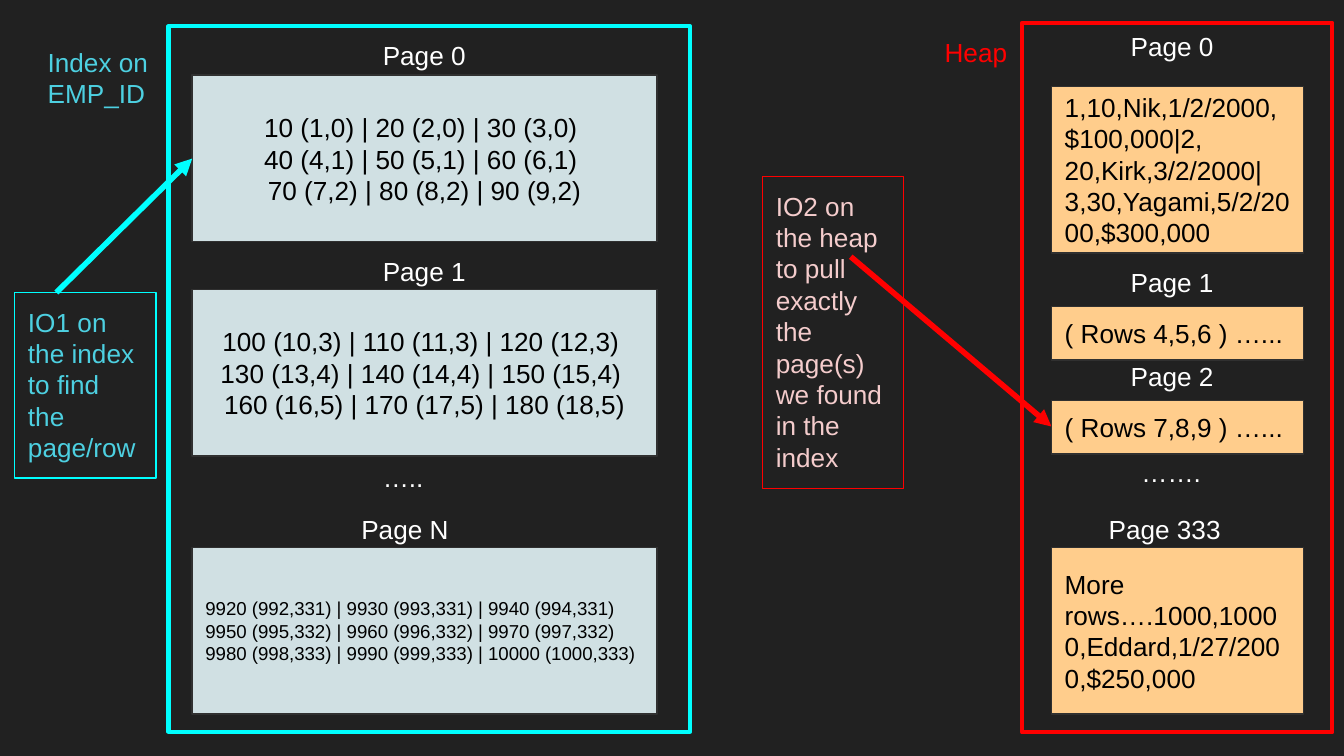
from lxml.etree import SubElement
from pptx import Presentation
from pptx.dml.color import RGBColor
from pptx.enum.shapes import MSO_CONNECTOR, MSO_SHAPE
from pptx.enum.text import MSO_ANCHOR, MSO_AUTO_SIZE, PP_ALIGN
from pptx.oxml.ns import qn
from pptx.util import Inches, Pt

COLORS = {
    "background": "212121",
    "index": "00FFFF",
    "index text": "4DD0E1",
    "index page": "D0E0E3",
    "heap": "FF0000",
    "heap note": "F4CCCC",
    "heap page": "FFCD8C",
    "page border": "303030",
    "label": "FFFFFF",
    "rows": "000000",
}
CELL = Inches(0.1)  # the slide is a grid of 100 columns by 56.25 rows
COLUMNS, ROWS = 100, 56.25
LABEL_HEIGHT = 4.4
INDEX_LEFT, INDEX_WIDTH = 14.3, 34.6
HEAP_LEFT, HEAP_WIDTH = 78.24, 18.74
TALL, SHORT = 12.4, 4

# top, font size, alignment, rows of index entries
INDEX_PAGES = [
    (5.6, 14, PP_ALIGN.CENTER, [
        "10 (1,0) | 20 (2,0) | 30 (3,0) ",
        "40 (4,1) | 50 (5,1) | 60 (6,1) ",
        "70 (7,2) | 80 (8,2) | 90 (9,2)"]),
    (21.54, 14, PP_ALIGN.CENTER, [
        "100 (10,3) | 110 (11,3) | 120 (12,3) ",
        "130 (13,4) | 140 (14,4) | 150 (15,4) ",
        "160 (16,5) | 170 (17,5) | 180 (18,5)"]),
    (40.73, 10, PP_ALIGN.JUSTIFY, [
        "9920 (992,331) | 9930 (993,331) | 9940 (994,331) ",
        "9950 (995,332) | 9960 (996,332) | 9970 (997,332) ",
        "9980 (998,333) | 9990 (999,333) | 10000 (1000,333)"]),
]
# top, height, rows
HEAP_PAGES = [
    (6.43, TALL, "1,10,Nik,1/2/2000,$100,000|2, 20,Kirk,3/2/2000|"
                 "3,30,Yagami,5/2/2000,$300,000"),
    (22.8, SHORT, "( Rows 4,5,6 ) …..."),
    (29.8, SHORT, "( Rows 7,8,9 ) …..."),
    (40.73, TALL, "More rows….1000,10000,Eddard,1/27/2000,$250,000"),
]
# left, top, width, text
INDEX_LABELS = [
    (27.5, 1.95, 9, "Page 0"),
    (27.5, 18, 9, "Page 1"),
    (27.5, 33.35, 9, "….."),
    (25.9, 37.2, 9, "Page N"),
]
HEAP_LABELS = [
    (83.14, 1.24, 9, "Page 0"),
    (83.14, 18.8, 9, "Page 1"),
    (83.14, 25.8, 9, "Page 2"),
    (83.94, 32.94, 9, "……."),
    (81.5, 37.2, 11.5, "Page 333"),
]


def color(name):
    return RGBColor.from_string(COLORS[name])


def grid(*cells):
    return [round(cell * CELL) for cell in cells]


def write(shape, lines, ink, size=14, align=PP_ALIGN.LEFT, **frame_format):
    frame = shape.text_frame
    inset = CELL
    defaults = {
        "word_wrap": True,
        "vertical_anchor": MSO_ANCHOR.TOP,
        "margin_left": inset,
        "margin_right": inset,
        "margin_top": inset,
        "margin_bottom": inset,
    }
    for name, value in (defaults | frame_format).items():
        setattr(frame, name, value)
    for number, line in enumerate(lines):
        paragraph = frame.add_paragraph() if number else frame.paragraphs[0]
        paragraph.alignment = align
        run = paragraph.add_run()
        run.text = line
        for name, value in {"name": "Arial", "size": Pt(size)}.items():
            setattr(run.font, name, value)
        run.font.color.rgb = color(ink)


def add_box(shapes, place, border, weight, fill=None):
    box = shapes.add_shape(MSO_SHAPE.RECTANGLE, *grid(*place))
    box.shadow.inherit = False
    if fill:
        box.fill.solid()
        box.fill.fore_color.rgb = color(fill)
    else:
        box.fill.background()
    box.line.color.rgb = color(border)
    box.line.width = Pt(weight)
    return box


def add_page(shapes, place, fill, lines, **text_format):
    page = add_box(shapes, place, "page border", 0.75, fill)
    write(page, lines, "rows", vertical_anchor=MSO_ANCHOR.MIDDLE, **text_format)


def add_label(shapes, left, top, width, text, ink="label", height=LABEL_HEIGHT):
    label = shapes.add_textbox(*grid(left, top, width, height))
    write(label, [text], ink, auto_size=MSO_AUTO_SIZE.SHAPE_TO_FIT_TEXT)


def add_note(shapes, place, border, text, ink):
    note = add_box(shapes, place, border, 0.75)
    write(note, [text], ink, auto_size=MSO_AUTO_SIZE.SHAPE_TO_FIT_TEXT)


def add_arrow(shapes, start, end, ink):
    arrow = shapes.add_connector(MSO_CONNECTOR.STRAIGHT, *grid(*start, *end))
    arrow.line.color.rgb = color(ink)
    arrow.line.width = Pt(3)
    SubElement(arrow.line._get_or_add_ln(), qn("a:tailEnd"), type="triangle")
    SubElement(arrow._element.spPr, qn("a:effectLst"))


def add_index(shapes):
    add_box(shapes, (12.54, 1.95, 38.8, 52.5), "index", 2.25)
    add_label(shapes, 2.56, 2.44, 13.1, "Index on EMP_ID", "index text", 6.7)
    for top, size, align, lines in INDEX_PAGES:
        add_page(shapes, (INDEX_LEFT, top, INDEX_WIDTH, TALL), "index page",
                 lines, size=size, align=align)
    for label in INDEX_LABELS:
        add_label(shapes, *label)


def add_heap(shapes):
    add_box(shapes, (76.04, 1.7, 23.1, 52.8), "heap", 2.25)
    for top, height, rows in HEAP_PAGES:
        add_page(shapes, (HEAP_LEFT, top, HEAP_WIDTH, height), "heap page", [rows])
    for label in HEAP_LABELS:
        add_label(shapes, *label)


def main():
    deck = Presentation()
    deck.slide_width, deck.slide_height = grid(COLUMNS, ROWS)
    slide = deck.slides.add_slide(deck.slide_layouts[6])
    slide.background.fill.solid()
    slide.background.fill.fore_color.rgb = color("background")
    shapes = slide.shapes

    add_index(shapes)
    add_label(shapes, 69.3, 1.7, 8.5, "Heap", "heap")

    add_arrow(shapes, (4.2, 21.76), (INDEX_LEFT, 11.8), "index")
    add_note(shapes, (1.1, 21.76, 10.5, 13.8), "index",
             "IO1 on the index to find the page/row", "index text")
    add_arrow(shapes, (63.3, 19.1), (HEAP_LEFT, 31.74), "heap")
    add_note(shapes, (56.74, 13.14, 10.5, 23.2), "heap",
             "IO2 on the heap to pull exactly the page(s) we found in the index",
             "heap note")
    add_heap(shapes.add_group_shape().shapes)
    deck.save("out.pptx")


if __name__ == "__main__":
    main()
